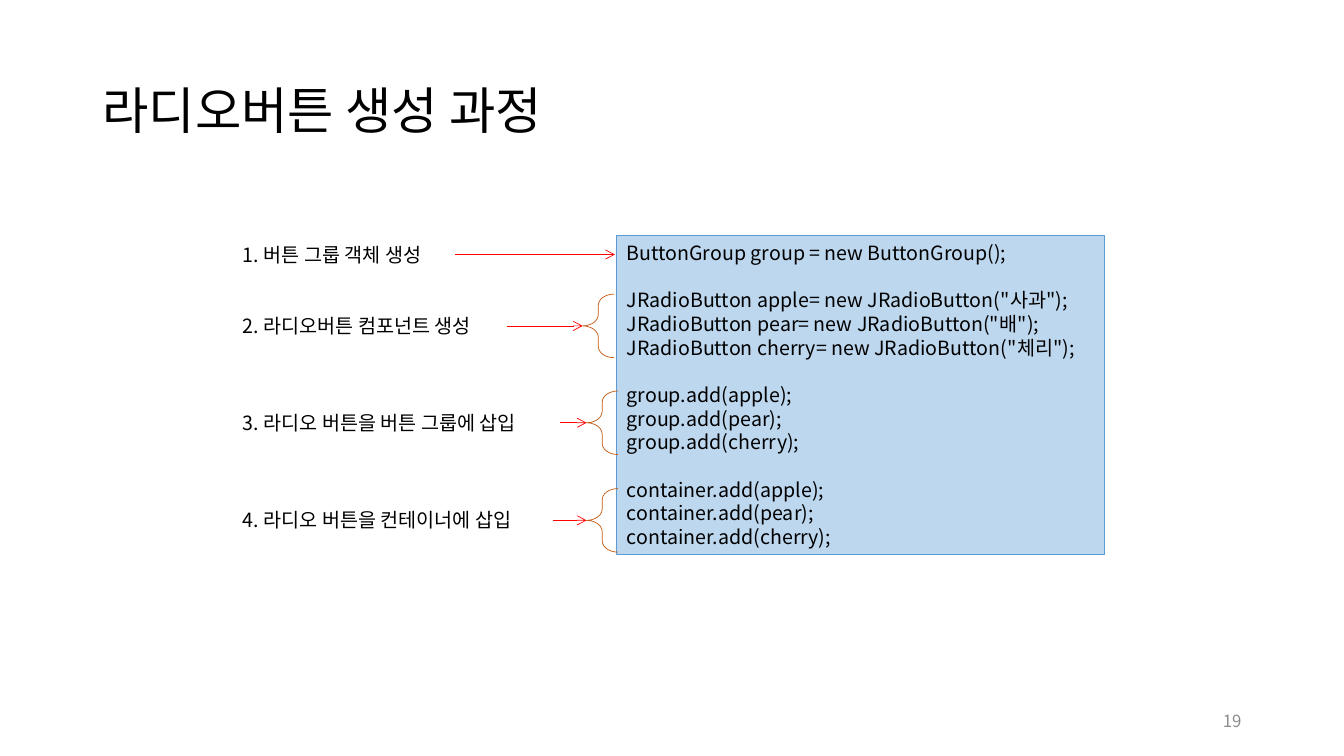
from dataclasses import dataclass

from lxml.etree import SubElement
from pptx import Presentation
from pptx.dml.color import RGBColor
from pptx.enum.shapes import MSO_CONNECTOR, MSO_SHAPE
from pptx.enum.text import MSO_ANCHOR, MSO_AUTO_SIZE, PP_ALIGN
from pptx.oxml.ns import qn
from pptx.shapes.autoshape import Shape
from pptx.shapes.connector import Connector
from pptx.slide import Slide
from pptx.text.text import TextFrame, _Paragraph
from pptx.util import Pt


@dataclass(frozen=True)
class Theme:
    font: str = "Noto Sans CJK KR"
    text: RGBColor = RGBColor(0x00, 0x00, 0x00)
    page_number: RGBColor = RGBColor(0x8C, 0x8C, 0x8C)
    code_fill: RGBColor = RGBColor(0xBD, 0xD7, 0xEE)
    code_line: RGBColor = RGBColor(0x5B, 0x9B, 0xD5)
    brace: RGBColor = RGBColor(0xC5, 0x5A, 0x11)
    arrow: RGBColor = RGBColor(0xFF, 0x00, 0x00)
    title_size: float = 36
    body_size: float = 14
    number_size: float = 12
    line_pitch: float = 16.9


@dataclass(frozen=True)
class Step:
    label: str
    code: tuple[str, ...]
    middle: float
    label_width: float
    target: float
    has_brace: bool = True


THEME = Theme()
LABEL_LEFT, LABEL_HEIGHT = 166.3, 24.5
BRACE_WIDTH, BRACE_HEIGHT = 22.3, 45.4
STEPS = (
    Step("1. 버튼 그룹 객체 생성", ("ButtonGroup group = new ButtonGroup();",),
         181.8, 158.4, 439.2, False),
    Step("2. 라디오버튼 컴포넌트 생성",
         ('JRadioButton apple= new JRadioButton("사과");',
          'JRadioButton pear= new JRadioButton("배");',
          'JRadioButton cherry= new JRadioButton("체리");'),
         232.8, 195.8, 416.2),
    Step("3. 라디오 버튼을 버튼 그룹에 삽입",
         ("group.add(apple);", "group.add(pear);", "group.add(cherry);"),
         302, 234, 419),
    Step("4. 라디오 버튼을 컨테이너에 삽입",
         ("container.add(apple);", "container.add(pear);", "container.add(cherry);"),
         371.7, 229, 419),
)


def add_run(paragraph: _Paragraph, text: str, size: float, color: RGBColor = THEME.text) -> None:
    run = paragraph.add_run()
    run.text = text
    run.font.size = Pt(size)
    run.font.color.rgb = color
    run.font.name = THEME.font
    SubElement(run.font._element, qn("a:ea"), typeface=THEME.font)


def prepare_frame(frame: TextFrame, anchor: MSO_ANCHOR) -> _Paragraph:
    frame.word_wrap = True
    frame.auto_size = MSO_AUTO_SIZE.NONE
    frame.vertical_anchor = anchor
    return frame.paragraphs[0]


def add_title(slide: Slide, text: str) -> None:
    title = slide.shapes.title
    title.left, title.top, title.width, title.height = Pt(66), Pt(28.8), Pt(828), Pt(104.4)
    paragraph = prepare_frame(title.text_frame, MSO_ANCHOR.MIDDLE)
    paragraph.alignment = PP_ALIGN.LEFT
    paragraph.line_spacing = 0.9
    add_run(paragraph, text, THEME.title_size)


def add_code(slide: Slide, steps: tuple[Step, ...]) -> None:
    panel = slide.shapes.add_shape(MSO_SHAPE.RECTANGLE, Pt(440.6), Pt(168.5), Pt(348.5), Pt(227.5))
    panel.shadow.inherit = False
    panel.fill.solid()
    panel.fill.fore_color.rgb = THEME.code_fill
    panel.line.color.rgb = THEME.code_line
    panel.line.width = Pt(0.75)
    paragraph = prepare_frame(panel.text_frame, MSO_ANCHOR.TOP)
    for step_index, step in enumerate(steps):
        for line_index, line in enumerate(step.code):
            if step_index or line_index:
                paragraph = panel.text_frame.add_paragraph()
            if step_index and not line_index:
                paragraph.space_before = Pt(THEME.line_pitch)
            paragraph.alignment = PP_ALIGN.LEFT
            paragraph.line_spacing = Pt(THEME.line_pitch)
            add_run(paragraph, line, THEME.body_size)


def add_label(slide: Slide, step: Step) -> Shape:
    label = slide.shapes.add_textbox(
        Pt(LABEL_LEFT), Pt(step.middle - LABEL_HEIGHT / 2), Pt(step.label_width), Pt(LABEL_HEIGHT))
    paragraph = prepare_frame(label.text_frame, MSO_ANCHOR.TOP)
    paragraph.line_spacing = Pt(THEME.line_pitch)
    add_run(paragraph, step.label, THEME.body_size)
    return label


def add_brace(slide: Slide, step: Step) -> Shape:
    brace = slide.shapes.add_shape(
        MSO_SHAPE.LEFT_BRACE, Pt(step.target), Pt(step.middle - BRACE_HEIGHT / 2),
        Pt(BRACE_WIDTH), Pt(BRACE_HEIGHT))
    brace.shadow.inherit = False
    brace.adjustments[0] = 0.36
    brace.fill.background()
    brace.line.color.rgb = THEME.brace
    brace.line.width = Pt(0.5)
    return brace


def add_arrow(slide: Slide, step: Step, label: Shape) -> Connector:
    arrow = slide.shapes.add_connector(
        MSO_CONNECTOR.STRAIGHT, Pt(LABEL_LEFT + step.label_width), Pt(step.middle),
        Pt(step.target), Pt(step.middle))
    arrow.begin_connect(label, 3)
    arrow.line.color.rgb = THEME.arrow
    arrow.line.width = Pt(0.5)
    SubElement(arrow.line._get_or_add_ln(), qn("a:tailEnd"), type="arrow")
    SubElement(arrow._element.spPr, qn("a:effectLst"))
    return arrow


def add_step(slide: Slide, step: Step) -> None:
    arrow = add_arrow(slide, step, add_label(slide, step))
    if step.has_brace:
        arrow.end_connect(add_brace(slide, step), 1)


def add_page_number(slide: Slide, number: str) -> None:
    box = slide.shapes.add_textbox(Pt(678), Pt(500.5), Pt(216), Pt(28.8))
    paragraph = prepare_frame(box.text_frame, MSO_ANCHOR.MIDDLE)
    paragraph.alignment = PP_ALIGN.RIGHT
    add_run(paragraph, number, THEME.number_size, THEME.page_number)


def main() -> None:
    """Build the slide on the steps of creating radio buttons."""
    presentation = Presentation()
    presentation.slide_width, presentation.slide_height = Pt(960), Pt(540)
    slide = presentation.slides.add_slide(presentation.slide_layouts[5])
    add_title(slide, "라디오버튼 생성 과정")
    add_code(slide, STEPS)
    for step in STEPS:
        add_step(slide, step)
    add_page_number(slide, "19")
    presentation.save("out.pptx")


if __name__ == "__main__":
    main()
